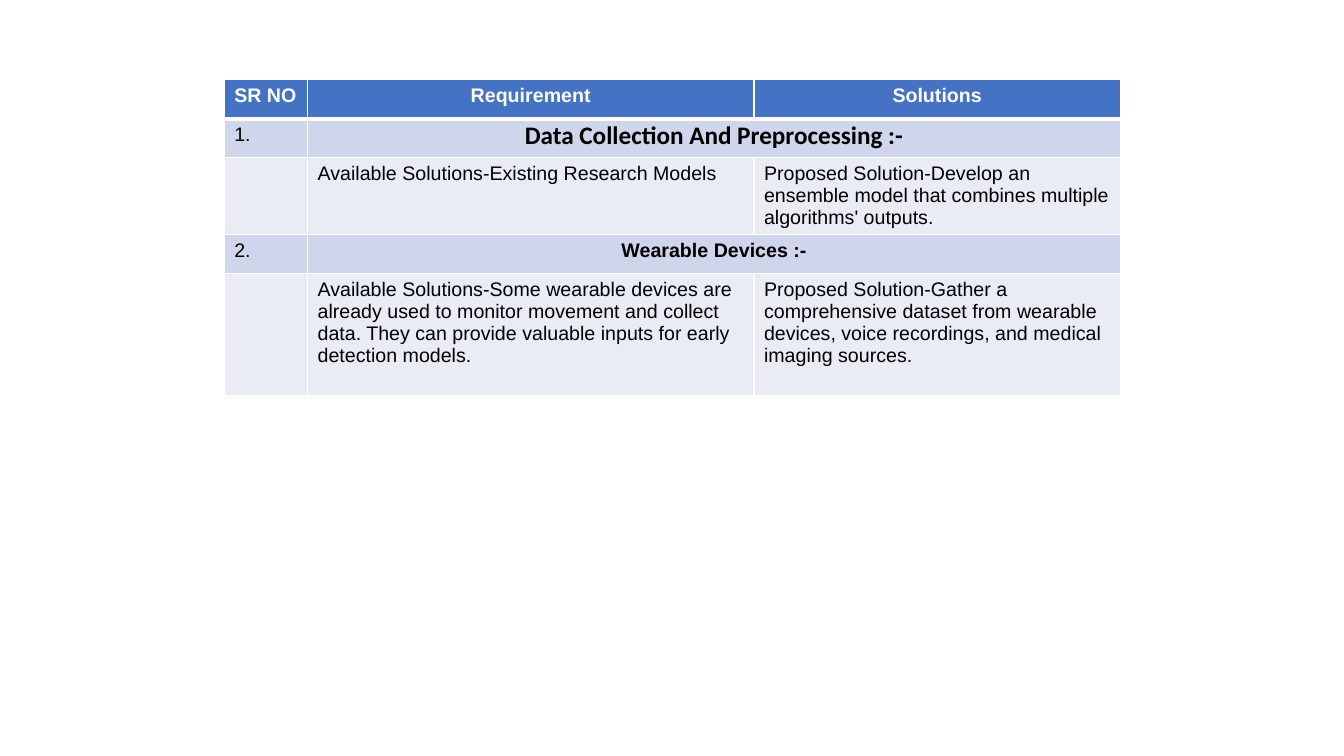
from dataclasses import dataclass

from lxml import etree
from pptx import Presentation
from pptx.dml.color import RGBColor
from pptx.enum.text import PP_ALIGN
from pptx.oxml.ns import qn
from pptx.util import Cm, Pt


@dataclass(frozen=True)
class Theme:
    """Colours, fonts and type sizes of the slide."""
    header: str = "4472C4"
    section: str = "CFD5EA"
    detail: str = "E9EBF5"
    light: str = "FFFFFF"
    dark: str = "000000"
    font: str = "Arial"
    title_font: str = "Calibri"
    size: int = 14
    title_size: int = 18


THEME = Theme()
COLUMN_WIDTHS = (2.1, 11.25, 9.24)
ROW_HEIGHTS = (0.98, 0.98, 1.94, 0.98, 3.08)
HEADINGS = ("SR NO", "Requirement", "Solutions")
SECTIONS = (
    ("1.", "Data Collection And Preprocessing :-",
     "Available Solutions-Existing Research Models",
     "Proposed Solution-Develop an ensemble model that combines multiple "
     "algorithms' outputs."),
    ("2.", "Wearable Devices :-",
     "Available Solutions-Some wearable devices are already used to monitor "
     "movement and collect data. They can provide valuable inputs for early "
     "detection models.",
     "Proposed Solution-Gather a comprehensive dataset from wearable devices, "
     "voice recordings, and medical imaging sources."),
)


def style_cell(cell, fill, top=1, bottom=1):
    """Give a cell its borders, in points, and its fill."""
    properties = cell._tc.get_or_add_tcPr()
    for side, width in (("L", 1), ("R", 1), ("T", top), ("B", bottom)):
        line = etree.SubElement(properties, qn(f"a:ln{side}"), w=str(Pt(width)))
        solid = etree.SubElement(line, qn("a:solidFill"))
        etree.SubElement(solid, qn("a:srgbClr"), val=THEME.light)
    cell.fill.solid()
    cell.fill.fore_color.rgb = RGBColor.from_string(fill)


def write_cell(cell, text, color=THEME.dark, bold=False, centered=False):
    """Write one paragraph in a cell and return it."""
    paragraph = cell.text_frame.paragraphs[0]
    paragraph.alignment = PP_ALIGN.CENTER if centered else PP_ALIGN.LEFT
    run = paragraph.add_run()
    run.text = text
    run.font.name = THEME.font
    run.font.size = Pt(THEME.size)
    run.font.bold = bold
    run.font.color.rgb = RGBColor.from_string(color)
    return paragraph


def emphasize_title(cell, paragraph):
    """Set the larger type and tighter margins of the first section title."""
    cell.margin_left = cell.margin_right = Cm(0.18)
    cell.margin_top = cell.margin_bottom = Cm(0)
    paragraph.line_spacing = 1.07
    paragraph.space_after = Pt(8)
    font = paragraph.runs[0].font
    font.name = THEME.title_font
    font.size = Pt(THEME.title_size)


def add_requirements_table(slide, left, top, width, height):
    """Draw the table of requirements and solutions in the given box."""
    table = slide.shapes.add_table(
        len(ROW_HEIGHTS), len(COLUMN_WIDTHS),
        Cm(left), Cm(top), Cm(width), Cm(height)).table
    for column, share in zip(table.columns, COLUMN_WIDTHS):
        column.width = Cm(width * share / sum(COLUMN_WIDTHS))
    for row, share in zip(table.rows, ROW_HEIGHTS):
        row.height = Cm(height * share / sum(ROW_HEIGHTS))

    fills = (THEME.header,) + (THEME.section, THEME.detail) * len(SECTIONS)
    for index, (row, fill) in enumerate(zip(table.rows, fills)):
        for cell in row.cells:
            style_cell(cell, fill, top=3 if index == 1 else 1,
                       bottom=3 if index == 0 else 1)

    for column, heading in enumerate(HEADINGS):
        write_cell(table.cell(0, column), heading, THEME.light,
                   bold=True, centered=column > 0)

    for index, (number, title, available, proposed) in enumerate(SECTIONS):
        row = 1 + 2 * index
        title_cell = table.cell(row, 1)
        title_cell.merge(table.cell(row, 2))
        write_cell(table.cell(row, 0), number)
        paragraph = write_cell(title_cell, title, bold=True, centered=True)
        if index == 0:
            emphasize_title(title_cell, paragraph)
        write_cell(table.cell(row + 1, 1), available)
        write_cell(table.cell(row + 1, 2), proposed)


def main():
    """Build the slide and save it."""
    presentation = Presentation()
    presentation.slide_width = Cm(33.87)
    presentation.slide_height = Cm(19.05)
    slide = presentation.slides.add_slide(presentation.slide_layouts[6])
    add_requirements_table(slide, 5.65, 2.01, 22.59, 7.96)
    presentation.save("out.pptx")


main()
